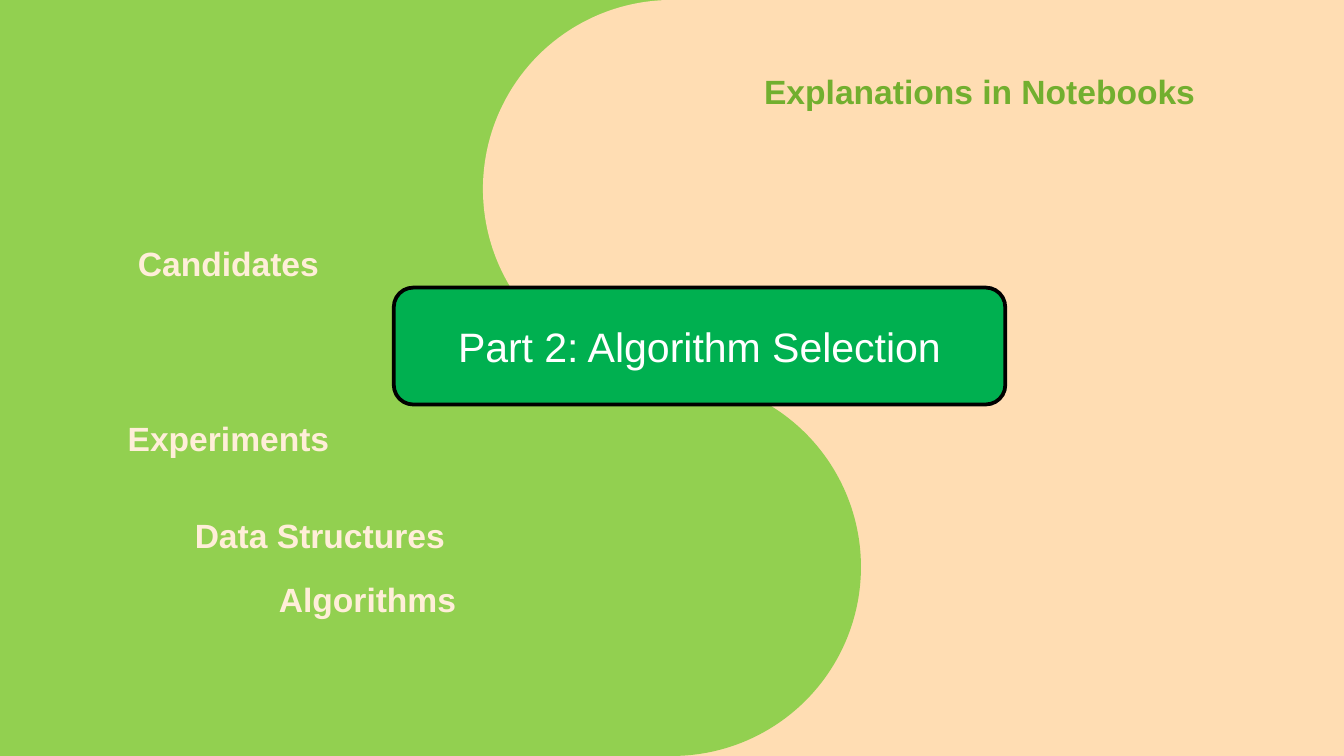
from pptx import Presentation
from pptx.dml.color import RGBColor
from pptx.enum import shapes, text
from pptx.util import Inches, Pt

# Content: label, left, top, width, colour role
HEADING = "Part 2: Algorithm Selection"
LABELS = [
    ("Explanations in Notebooks", 5.57, 0.48, 3.44, "dark_label"),
    ("Candidates", 0.92, 1.76, 1.56, "light_label"),
    ("Experiments", 0.84, 3.06, 1.72, "light_label"),
    ("Data Structures", 1.34, 3.78, 2.08, "light_label"),
    ("Algorithms", 1.97, 4.26, 1.53, "light_label"),
]
THEME = {
    "font": "Arial", "heading_size": 22, "label_size": 18, "line_width": 2,
    "green": "92D050", "peach": "FFDDB3", "box": "00B050",
    "outline": "000000", "heading": "FFFFFF",
    "dark_label": "72AF2F", "light_label": "FFEED9",
}
W = 10
H = W * 9 / 16
HALF, RADIUS = W / 2, H / 4
LABEL_HEIGHT = 0.4


def color(role):
    return RGBColor.from_string(THEME[role])


def add_area(slide, kind, box, fill=None, outlined=False):
    sp = slide.shapes.add_shape(kind, *map(Inches, box))
    sp.shadow.inherit = False
    if fill:
        sp.fill.solid()
        sp.fill.fore_color.rgb = color(fill)
    else:
        sp.fill.background()
    if outlined:
        sp.line.color.rgb = color("outline")
        sp.line.width = Pt(THEME["line_width"])
    else:
        sp.line.fill.background()
    return sp


def write(tf, words, size, role, bold=False):
    tf.text = words
    p = tf.paragraphs[0]
    p.alignment = text.PP_ALIGN.CENTER
    font = p.runs[0].font
    font.name, font.size, font.bold = THEME["font"], Pt(THEME[size]), bold
    font.color.rgb = color(role)


prs = Presentation()
prs.slide_width, prs.slide_height = Inches(W), Inches(H)
s = prs.slides.add_slide(prs.slide_layouts[6])

# Frame, two halves and the circles that form the wave between them
RECT, OVAL = shapes.MSO_SHAPE.RECTANGLE, shapes.MSO_SHAPE.OVAL
add_area(s, RECT, (0, 0, W, H), outlined=True)
for i, role in enumerate(["green", "peach"]):
    add_area(s, RECT, (i * HALF, 0, HALF, H), role)
for i, role in enumerate(["peach", "green"]):
    add_area(s, OVAL, (HALF - RADIUS, i * H / 2, 2 * RADIUS, 2 * RADIUS), role)

# Heading in a rounded box
heading = add_area(s, shapes.MSO_SHAPE.ROUNDED_RECTANGLE,
                   (2.93, 2.14, 4.55, 0.87), "box", outlined=True)
heading.text_frame.vertical_anchor = text.MSO_ANCHOR.MIDDLE
write(heading.text_frame, HEADING, "heading_size", "heading")

# Labels
for words, left, top, width, role in LABELS:
    label = s.shapes.add_textbox(*map(Inches, (left, top, width, LABEL_HEIGHT)))
    tf = label.text_frame
    tf.word_wrap = False
    tf.auto_size = text.MSO_AUTO_SIZE.SHAPE_TO_FIT_TEXT
    write(tf, words, "label_size", role, bold=True)

prs.save("out.pptx")
